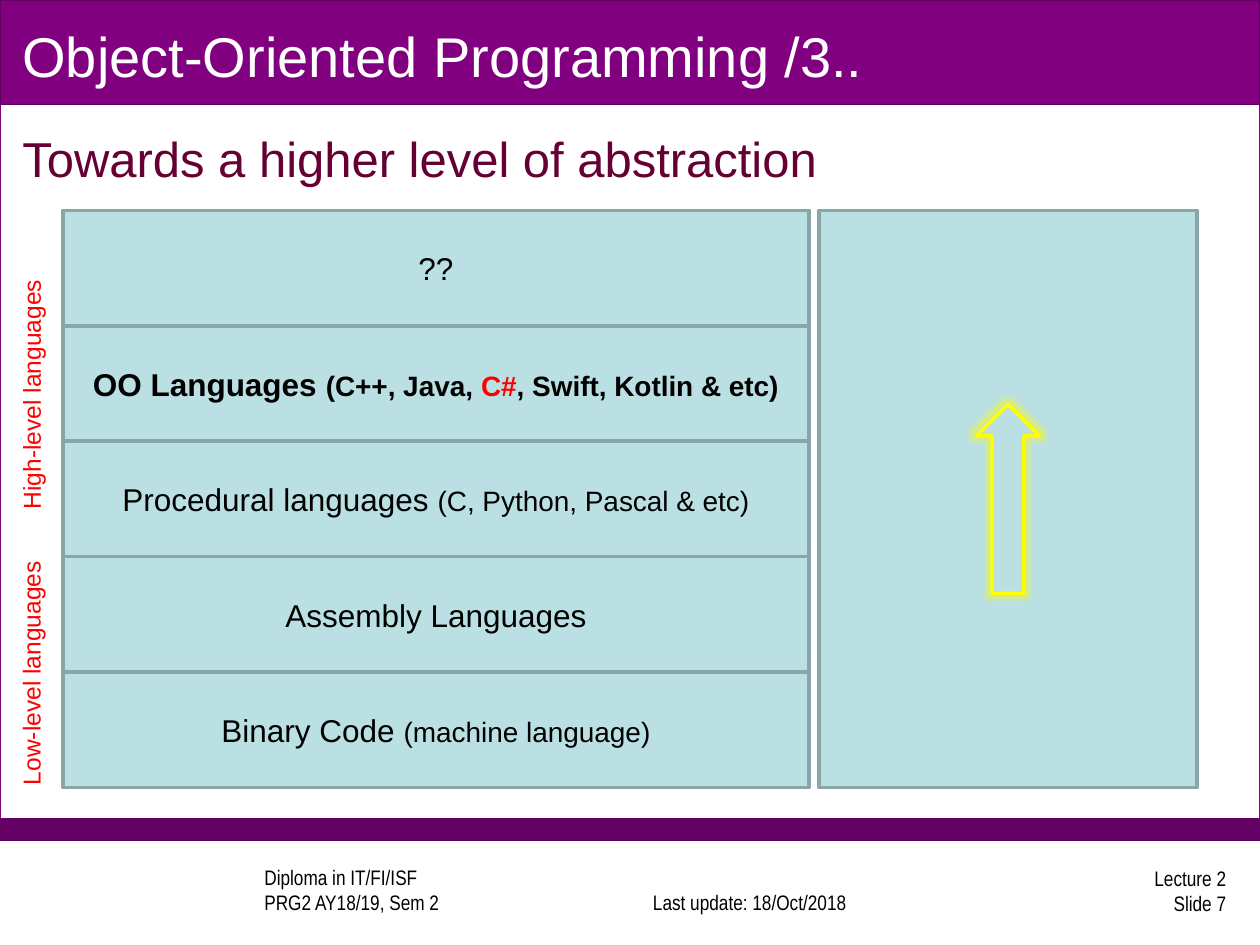
"""Build the slide on rising levels of programming language abstraction."""
from dataclasses import dataclass

import lxml.etree
import pptx
import pptx.dml.color
import pptx.enum.shapes
import pptx.enum.text
import pptx.oxml.ns
import pptx.util

Inches = pptx.util.Inches
SHAPE = pptx.enum.shapes.MSO_SHAPE
ALIGN = pptx.enum.text.PP_ALIGN
ANCHOR = pptx.enum.text.MSO_ANCHOR


@dataclass(frozen=True)
class Theme:
    white: str = "FFFFFF"
    black: str = "000000"
    purple: str = "800080"
    dark_purple: str = "640064"
    maroon: str = "660033"
    pale_blue: str = "BBE0E3"
    edge_blue: str = "8AA6A8"
    red: str = "FF0000"
    yellow: str = "FFFF00"
    font: str = "Arial"
    footer_font: str = "Arial Narrow"
    title: int = 32
    heading: int = 28
    level: int = 18
    detail: int = 16
    side: int = 14
    footer: int = 12


class SlideBuilder:
    def __init__(self, page, theme):
        self.page = page
        self.theme = theme

    def fill_text(self, box, lines, align=ALIGN.LEFT, anchor=ANCHOR.MIDDLE, wrap=True):
        frame = box.text_frame
        for name, value in {"word_wrap": wrap, "vertical_anchor": anchor}.items():
            setattr(frame, name, value)
        para = frame.paragraphs[0]
        para.alignment = align
        for number, line in enumerate(lines):
            if number:
                para.add_line_break()
            for text, look in line:
                span = para.add_run()
                span.text = text
                style = {"name": self.theme.font, "bold": False, **look}
                color = style.pop("color", self.theme.black)
                style["size"] = pptx.util.Pt(style["size"])
                for name, value in style.items():
                    setattr(span.font, name, value)
                span.font.color.rgb = pptx.dml.color.RGBColor.from_string(color)

    def shape(self, place, fill, line, width, kind=SHAPE.RECTANGLE, rotation=0):
        box = self.page.shapes.add_shape(kind, *map(Inches, place))
        box.shadow.inherit = False
        box.rotation = rotation
        box.fill.solid()
        box.fill.fore_color.rgb = pptx.dml.color.RGBColor.from_string(fill)
        box.line.color.rgb = pptx.dml.color.RGBColor.from_string(line)
        box.line.width = pptx.util.Pt(width)
        return box

    def panel(self, place):
        return self.shape(place, self.theme.pale_blue, self.theme.edge_blue, 2)

    def text(self, place, lines, rotation=0, **layout):
        box = self.page.shapes.add_textbox(*map(Inches, place))
        box.rotation = rotation
        self.fill_text(box, lines, **layout)

    def glow(self, shape, color, radius):
        qualify = pptx.oxml.ns.qn
        effects = shape._element.spPr.find(qualify("a:effectLst"))
        halo = lxml.etree.SubElement(
            effects, qualify("a:glow"), rad=str(pptx.util.Pt(radius)))
        tint = lxml.etree.SubElement(halo, qualify("a:srgbClr"), val=color)
        lxml.etree.SubElement(tint, qualify("a:alpha"), val="40000")


def main():
    deck = pptx.Presentation()
    deck.slide_width, deck.slide_height = Inches(10), Inches(7.5)
    theme = Theme()
    builder = SlideBuilder(deck.slides.add_slide(deck.slide_layouts[6]), theme)

    builder.shape((0, 0, 10, 6.67), theme.white, theme.purple, 0.75)
    builder.shape((0, 6.5, 10, 0.17), theme.dark_purple, theme.dark_purple, 0.75)
    builder.shape((0, 0, 10, 0.83), theme.purple, theme.dark_purple, 0.75)

    footers = [
        ((2, 6.89, 2.67, 0.42), ["Diploma in IT/FI/ISF", "PRG2 AY18/19, Sem 2"],
         ALIGN.LEFT, ANCHOR.BOTTOM),
        ((4.91, 6.89, 2.08, 0.42), ["Last update: 18/Oct/2018"],
         ALIGN.CENTER, ANCHOR.BOTTOM),
        ((7.75, 6.86, 2.08, 0.42), ["Lecture 2", "Slide 7"],
         ALIGN.RIGHT, ANCHOR.MIDDLE),
    ]
    footer_look = {"size": theme.footer, "name": theme.footer_font}
    for place, lines, align, anchor in footers:
        builder.text(place, [[(line, footer_look)] for line in lines],
                     align=align, anchor=anchor)

    builder.text((0.08, 0.13, 9.83, 0.62), [[
        ("Object-Oriented Programming /3..",
         {"size": theme.title, "color": theme.white})]])
    builder.text((0.08, 0.97, 9.83, 5.45), [[
        ("Towards a higher level of abstraction",
         {"size": theme.heading, "color": theme.maroon})]], anchor=ANCHOR.TOP)

    stack_top, stack_height = 1.67, 4.58
    builder.panel((6.5, stack_top, 3, stack_height))
    main_look = {"size": theme.level}
    detail_look = {"size": theme.detail}
    bold_detail = {"size": theme.detail, "bold": True}
    levels = [
        [("??", main_look)],
        [("OO Languages ", {"size": theme.level, "bold": True}),
         ("(C++, Java, ", bold_detail),
         ("C#", {**bold_detail, "color": theme.red}),
         (", Swift, Kotlin & etc)", bold_detail)],
        [("Procedural languages ", main_look),
         ("(C, Python, Pascal & etc)", detail_look)],
        [("Assembly Languages", main_look)],
        [("Binary Code ", main_look), ("(machine language)", detail_look)],
    ]
    row_height = stack_height / len(levels)
    for row, spans in enumerate(levels):
        box = builder.panel((0.5, stack_top + row * row_height, 5.92, row_height))
        builder.fill_text(box, [spans], align=ALIGN.CENTER)

    arrow = builder.shape((7.25, 3.71, 1.5, 0.5), theme.pale_blue, theme.yellow, 2,
                          SHAPE.RIGHT_ARROW, 270)
    builder.glow(arrow, theme.yellow, 5)

    side_look = {"size": theme.side, "color": theme.red}
    for place, label in [((-0.77, 5.14, 2.04, 0.34), "Low-level languages"),
                         ((-0.79, 2.93, 2.08, 0.34), "High-level languages")]:
        builder.text(place, [[(label, side_look)]], rotation=270,
                     anchor=ANCHOR.TOP, wrap=False)

    deck.save("out.pptx")


if __name__ == "__main__":
    main()
